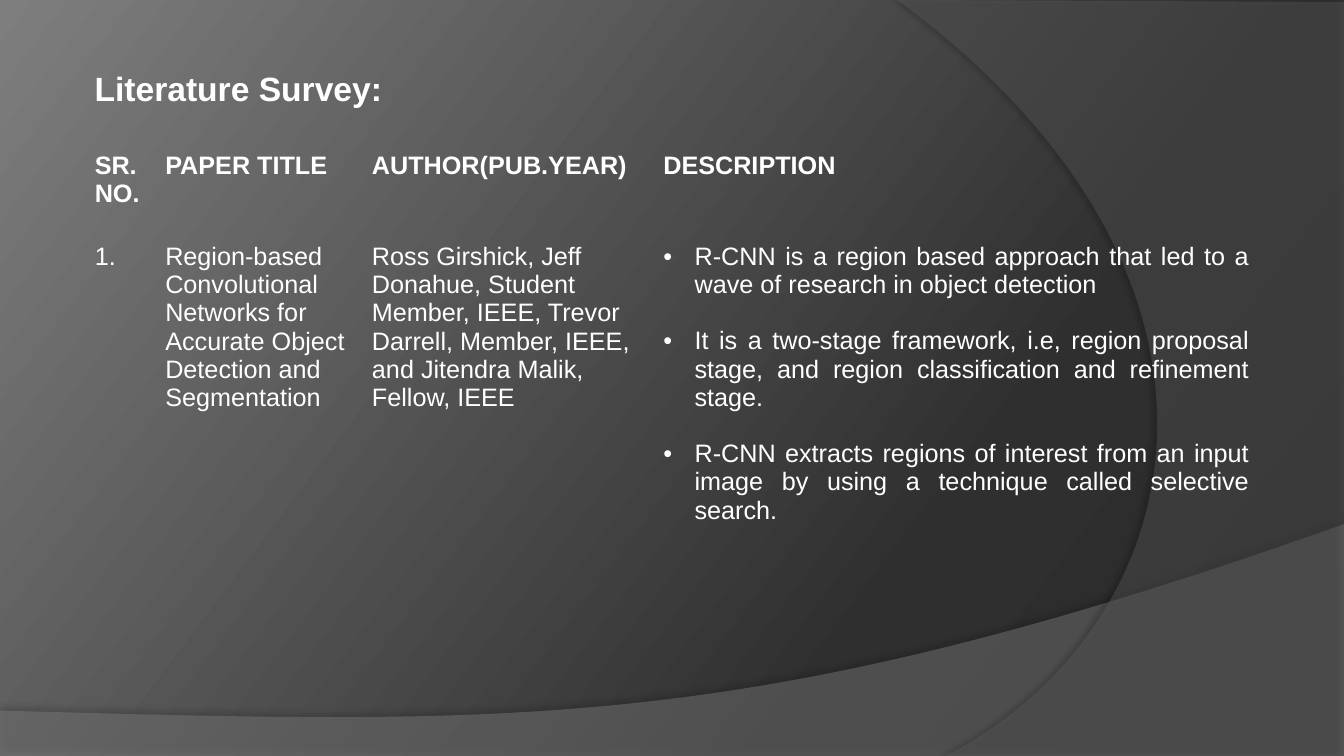
from copy import deepcopy
from dataclasses import dataclass

from lxml.etree import SubElement
from pptx import Presentation
from pptx.dml.color import RGBColor as Color
from pptx.enum.text import MSO_AUTO_SIZE as AutoSize, PP_ALIGN as Align
from pptx.oxml.ns import qn
from pptx.util import Emu, Inches, Pt

COLOURS = {
    "text": "FFFFFF",
    "shadow": "000000",
    "wave": "7F7F7F",
    "arc": "5E5E5E",
    "dark": "282828",
    "middle": "2F2F2F",
    "light": "7E7E7E",
}
FONT = "Arial"
BODY_SIZE = 18
BULLET_GAP = 20  # points, one line of body text
BULLET_INDENT = Inches(0.31)
NO_STYLE_NO_GRID = "{2D5ABB26-0587-4C30-8999-92F81FD0307C}"

# The slide is a grid of 100 columns by 100 rows.
WIDTH, HEIGHT = Inches(13.33), Inches(7.5)
LEFT = 6.3
TABLE_TOP = 19.33
SPARE_ROWS = 6
ROW_HEIGHTS = (12.1, 39.7) + (4.8,) * SPARE_ROWS

Point = tuple[float, float]


@dataclass(frozen=True)
class Sweep:
    """A background outline: straight corners, closed by one cubic curve."""
    colour: str
    opacity: int
    corners: tuple[Point, ...]
    controls: tuple[Point, Point]
    shadow_opacity: int
    shadow_distance: float
    shadow_angle: int


@dataclass(frozen=True)
class Column:
    width: float
    heading: str
    entries: tuple[str, ...]
    align: Align = Align.LEFT
    bulleted: bool = False


SWEEPS = (
    Sweep("wave", 45, ((0, 94), (0, 100), (100, 100), (100, 69.33)),
          ((55.89, 97.2), (39.08, 95.87)), 35, 3.5, 270),
    Sweep("arc", 40, ((66.77, 0), (100, 0.27), (100, 100), (70.37, 100)),
          ((89.12, 82.53), (94.75, 36.67)), 45, 4, 180),
)

COLUMNS = (
    Column(5.25, "SR.NO.", ("1.",), Align.JUSTIFY),
    Column(15.38, "PAPER TITLE", (
        "Region-based Convolutional Networks for Accurate Object Detection "
        "and Segmentation",)),
    Column(21.68, "AUTHOR(PUB.YEAR)", (
        "Ross Girshick, Jeff Donahue, Student Member, IEEE, Trevor Darrell, "
        "Member, IEEE, and Jitendra Malik, Fellow, IEEE",)),
    Column(45.08, "DESCRIPTION", (
        "R-CNN is a region based approach that led to a wave of research in "
        "object detection",
        "It is a two-stage framework, i.e, region proposal stage, and region "
        "classification and refinement stage.",
        "R-CNN extracts regions of interest from an input image by using a "
        "technique called selective search.",
    ), Align.JUSTIFY, bulleted=True),
)


def across(columns: float) -> Emu:
    return Emu(round(WIDTH * columns / 100))


def down(rows: float) -> Emu:
    return Emu(round(HEIGHT * rows / 100))


def colour(name: str) -> Color:
    return Color.from_string(COLOURS[name])


def add_opacity(colour_element, percent: int) -> None:
    SubElement(colour_element, qn("a:alpha"), val=str(percent * 1000))


def paint_background(page) -> None:
    fill = page.background.fill
    fill.gradient()
    fill.gradient_angle = 143  # counter-clockwise: dark lower right, light upper left
    stop_list = page.element.find(f".//{qn('a:gsLst')}")
    stop_list.append(deepcopy(stop_list[-1]))
    stops = ((0, "dark"), (0.3, "middle"), (1, "light"))
    for stop, (position, name) in zip(fill.gradient_stops, stops):
        stop.position = position
        stop.color.rgb = colour(name)


def close_with_curve(shape, points: tuple[Point, ...]) -> None:
    """Insert a cubic Bézier segment just before the outline closes."""
    closing = shape.element.find(f".//{qn('a:close')}")
    segment = closing.makeelement(qn("a:cubicBezTo"), {})
    for x, y in points:
        SubElement(segment, qn("a:pt"), x=str(across(x) - shape.left),
                   y=str(down(y) - shape.top))
    closing.addprevious(segment)


def draw_sweep(page, sweep: Sweep) -> None:
    corners = [(across(x), down(y)) for x, y in sweep.corners]
    builder = page.shapes.build_freeform(*corners[0])
    builder.add_line_segments(corners[1:], close=True)
    shape = builder.convert_to_shape()
    close_with_curve(shape, (*sweep.controls, sweep.corners[0]))
    shape.fill.solid()
    shape.fill.fore_color.rgb = colour(sweep.colour)
    shape.line.fill.background()
    shape.shadow.inherit = False
    properties = shape.element.spPr
    add_opacity(properties.find(f"{qn('a:solidFill')}/{qn('a:srgbClr')}"), sweep.opacity)
    shadow = SubElement(
        properties.find(qn("a:effectLst")), qn("a:outerShdw"),
        blurRad=str(Pt(4)), dist=str(Pt(sweep.shadow_distance)),
        dir=str(sweep.shadow_angle * 60000), algn="ctr", rotWithShape="0")
    tint = SubElement(shadow, qn("a:srgbClr"), val=COLOURS["shadow"])
    add_opacity(tint, sweep.shadow_opacity)


def write(para, text: str, size: float, bold: bool, align: Align) -> None:
    para.text = text
    para.alignment = align
    font = para.font
    font.name, font.size, font.bold = FONT, Pt(size), bold
    font.color.rgb = colour("text")


def add_bullet(para) -> None:
    properties = para._p.get_or_add_pPr()
    properties.set("marL", str(BULLET_INDENT))
    properties.set("indent", str(-BULLET_INDENT))
    defaults = properties.find(qn("a:defRPr"))
    for tag, attributes in (("a:buFont", {"typeface": FONT}), ("a:buChar", {"char": "•"})):
        defaults.addprevious(properties.makeelement(qn(tag), attributes))


def draw_title(page) -> None:
    box = page.shapes.add_textbox(across(LEFT), down(8.27), across(47.7), down(6.67))
    frame = box.text_frame
    frame.word_wrap = True
    frame.auto_size = AutoSize.SHAPE_TO_FIT_TEXT
    write(frame.paragraphs[0], "Literature Survey:", 24, True, Align.JUSTIFY)


def draw_table(page) -> None:
    frame = page.shapes.add_table(
        len(ROW_HEIGHTS), len(COLUMNS), across(LEFT), down(TABLE_TOP),
        across(sum(column.width for column in COLUMNS)), down(sum(ROW_HEIGHTS)))
    table = frame.table
    table.first_row = table.horz_banding = False
    table._tbl.tblPr.find(qn("a:tableStyleId")).text = NO_STYLE_NO_GRID
    for row, height in zip(table.rows, ROW_HEIGHTS):
        row.height = down(height)
    for cell in table.iter_cells():
        cell.fill.background()
    for index, column in enumerate(COLUMNS):
        table.columns[index].width = across(column.width)
        write(table.cell(0, index).text_frame.paragraphs[0], column.heading,
              BODY_SIZE, True, Align.JUSTIFY)
        body = table.cell(1, index).text_frame
        for number, entry in enumerate(column.entries):
            para = body.add_paragraph() if number else body.paragraphs[0]
            write(para, entry, BODY_SIZE, False, column.align)
            if number:
                para.space_before = Pt(BULLET_GAP)
            if column.bulleted:
                add_bullet(para)
        for number in range(2, len(ROW_HEIGHTS)):
            spare = table.cell(number, index)
            spare.margin_top = spare.margin_bottom = 0


def main() -> None:
    deck = Presentation()
    deck.slide_width, deck.slide_height = WIDTH, HEIGHT
    page = deck.slides.add_slide(deck.slide_layouts[6])
    paint_background(page)
    for sweep in SWEEPS:
        draw_sweep(page, sweep)
    draw_table(page)
    draw_title(page)
    deck.save("out.pptx")


if __name__ == "__main__":
    main()
